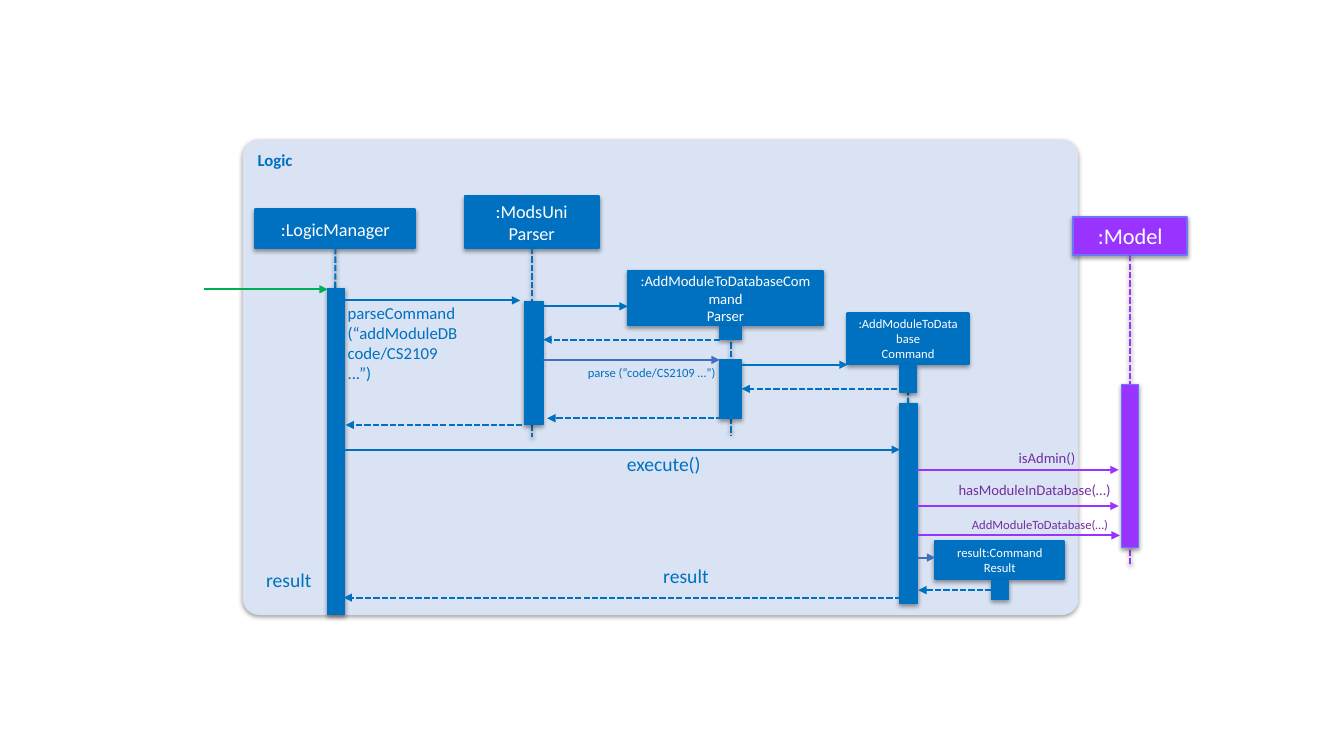
from dataclasses import dataclass
from typing import Optional

from lxml.etree import SubElement
from pptx import Presentation
from pptx.dml.color import RGBColor
from pptx.enum.dml import MSO_LINE_DASH_STYLE as Dash
from pptx.enum.shapes import MSO_CONNECTOR_TYPE as ConnectorType, MSO_SHAPE as ShapeType
from pptx.enum.text import MSO_ANCHOR as Anchor, PP_ALIGN as Align
from pptx.oxml.ns import qn
from pptx.util import Cm, Pt

COLORS = {
    "panel": "DAE3F3",
    "logic": "0070C0",
    "model": "9933FF",
    "model_edge": "6F75F7",
    "model_text": "7030A0",
    "caller": "00B050",
    "indigo": "3F6EC2",
    "white": "FFFFFF",
    "shadow": "000000",
}
BOTTOM, LEFT = 2, 1
BLANK_LAYOUT = 6


@dataclass
class Participant:
    name: str
    left: float
    top: float
    width: float
    height: float
    size: float
    lifeline_end: Optional[float] = None
    lifeline_shift: float = 0
    fill: str = "logic"
    edge: str = "logic"


@dataclass
class Activation:
    left: float
    top: float
    width: float
    height: float
    fill: str = "logic"
    edge: str = "logic"


@dataclass
class Message:
    start: float
    end: float
    y: float
    color: str = "logic"
    is_return: bool = False


@dataclass
class Label:
    text: str
    left: float
    top: float
    width: float
    height: float
    size: float
    color: str = "logic"
    align: Align = Align.RIGHT


PARTICIPANTS = [
    Participant(":LogicManager", 6.43, 5.28, 4.04, 0.97, 13, 13.51),
    Participant(":ModsUni\vParser", 11.71, 4.95, 3.38, 1.3, 13, 11.02),
    Participant(":AddModuleToDatabaseCommand\nParser", 15.82, 6.83, 4.93, 1.37, 10.5, 10.97, 0.13),
    Participant(":AddModuleToDatabase\nCommand", 21.36, 7.9, 3.05, 1.27, 9, 14.55),
    Participant(":Model", 27.05, 5.46, 2.87, 0.97, 16, 14.27, fill="model", edge="model_edge"),
    Participant("result:Command Result", 23.57, 13.64, 3.25, 0.94, 9),
]
RESULT_ACTIVATION = Activation(24.99, 14.63, 0.43, 0.48)
ACTIVATIONS = [
    Activation(8.26, 7.26, 0.43, 8.23),
    Activation(13.21, 7.59, 0.48, 3.12),
    Activation(18.14, 8.23, 0.56, 0.33),
    Activation(18.14, 9.07, 0.56, 1.47),
    Activation(22.68, 9.19, 0.43, 0.69),
    Activation(22.66, 10.16, 0.46, 5.05),
    Activation(28.27, 9.68, 0.43, 4.11, "model", "model_edge"),
]
MESSAGES = [
    Message(5.13, 8.26, 7.29, "caller"),
    Message(8.66, 13.11, 7.57),
    Message(13.56, 15.82, 7.72),
    Message(18.14, 13.69, 8.56, is_return=True),
    Message(13.69, 18.14, 9.07, "indigo"),
    Message(18.54, 21.36, 9.19),
    Message(22.83, 18.69, 9.8, is_return=True),
    Message(18.42, 13.79, 10.54, is_return=True),
    Message(13.16, 8.71, 10.71, is_return=True),
    Message(8.66, 22.68, 11.33),
    Message(23.11, 28.19, 11.84, "model"),
    Message(23.11, 28.19, 12.75, "model"),
    Message(23.14, 28.22, 13.49, "model"),
    Message(23.14, 23.57, 14.05, "indigo"),
    Message(22.71, 8.66, 15.06, is_return=True),
]
RESULT_RETURN = Message(24.99, 23.14, 14.87, is_return=True)
LABELS = [
    Label("parseCommand\n(“addModuleDB\vcode/CS2109\v...”)", 8.76, 7.62, 3.96, 2.03, 12, align=Align.LEFT),
    Label("parse (“code/CS2109 …”)", 13.41, 9.19, 4.62, 0.38, 9),
    Label("execute()", 15.27, 11.38, 2.39, 0.58, 14),
    Label("isAdmin()", 22.3, 11.3, 4.8, 0.43, 10.5, "model_text"),
    Label("hasModuleInDatabase(…)", 23.19, 12.12, 4.8, 0.43, 10.5, "model_text"),
    Label("AddModuleToDatabase(…)", 23.37, 13.03, 4.55, 0.38, 9, "model_text"),
    Label("result", 16.13, 14.2, 1.73, 0.58, 14),
    Label("result", 5.74, 14.3, 2.11, 0.58, 14),
]


def rgb(name: str) -> RGBColor:
    return RGBColor.from_string(COLORS[name])


def add_shadow(effects) -> None:
    shadow = SubElement(effects, qn("a:outerShdw"), blurRad=str(Pt(3.1)), dist=str(Pt(1.6)),
                        dir="5400000", rotWithShape="0")
    color = SubElement(shadow, qn("a:srgbClr"), val=COLORS["shadow"])
    SubElement(color, qn("a:alpha"), val="38000")


def write_text(shape, text: str, *, size: float, color: str, align=Align.LEFT,
               anchor=Anchor.TOP, bold=False, margin_x=0.0, margin_y=0.0) -> None:
    frame = shape.text_frame
    frame.word_wrap = True
    frame.vertical_anchor = anchor
    frame.margin_left = frame.margin_right = Cm(margin_x)
    frame.margin_top = frame.margin_bottom = Cm(margin_y)
    frame.text = text
    for paragraph in frame.paragraphs:
        paragraph.alignment = align
        font = paragraph.font
        font.name, font.size, font.bold = "Calibri", Pt(size), bold
        font.color.rgb = rgb(color)


def add_box(slide, kind, left: float, top: float, width: float, height: float,
            fill: str, edge: Optional[str] = None, edge_width=0.75):
    shape = slide.shapes.add_shape(kind, Cm(left), Cm(top), Cm(width), Cm(height))
    shape.fill.solid()
    shape.fill.fore_color.rgb = rgb(fill)
    if edge:
        shape.line.color.rgb = rgb(edge)
        shape.line.width = Pt(edge_width)
    else:
        shape.line.fill.background()
    shape.shadow.inherit = False
    add_shadow(shape.element.spPr.find(qn("a:effectLst")))
    return shape


def add_line(slide, x1: float, y1: float, x2: float, y2: float, color: str,
             dashed=False, arrow=False, shadow=False):
    connector = slide.shapes.add_connector(ConnectorType.STRAIGHT, Cm(x1), Cm(y1), Cm(x2), Cm(y2))
    connector.line.color.rgb = rgb(color)
    connector.line.width = Pt(1.5)
    if dashed:
        connector.line.dash_style = Dash.SQUARE_DOT
    properties = connector.element.spPr
    if arrow:
        SubElement(properties.find(qn("a:ln")), qn("a:tailEnd"), type="triangle")
    effects = SubElement(properties, qn("a:effectLst"))
    if shadow:
        add_shadow(effects)
    return connector


def add_participant(slide, item: Participant) -> None:
    header = add_box(slide, ShapeType.RECTANGLE, item.left, item.top, item.width, item.height,
                     item.fill, item.edge, 1.5)
    write_text(header, item.name, size=item.size, color="white", align=Align.CENTER,
               anchor=Anchor.MIDDLE, margin_x=0.27, margin_y=0.13)
    if item.lifeline_end:
        x = item.left + item.width / 2 + item.lifeline_shift
        lifeline = add_line(slide, x, item.top + item.height, x, item.lifeline_end, item.fill,
                            dashed=True, shadow=True)
        if not item.lifeline_shift:
            lifeline.begin_connect(header, BOTTOM)


def add_activation(slide, item: Activation):
    return add_box(slide, ShapeType.RECTANGLE, item.left, item.top, item.width, item.height,
                   item.fill, item.edge)


def add_message(slide, item: Message):
    return add_line(slide, item.start, item.y, item.end, item.y, item.color,
                    dashed=item.is_return, arrow=True)


def add_label(slide, item: Label) -> None:
    box = slide.shapes.add_textbox(Cm(item.left), Cm(item.top), Cm(item.width), Cm(item.height))
    write_text(box, item.text, size=item.size, color=item.color, align=item.align)


def main() -> None:
    presentation = Presentation()
    presentation.slide_width, presentation.slide_height = Cm(33.87), Cm(19.05)
    slide = presentation.slides.add_slide(presentation.slide_layouts[BLANK_LAYOUT])

    panel = add_box(slide, ShapeType.ROUNDED_RECTANGLE, 6.12, 3.51, 21.06, 11.99, "panel")
    panel.adjustments[0] = 0.035
    write_text(panel, "Logic", size=12, color="logic", bold=True, margin_x=0.25, margin_y=0.13)

    for participant in PARTICIPANTS:
        add_participant(slide, participant)
    for activation in ACTIVATIONS:
        add_activation(slide, activation)
    for message in MESSAGES:
        add_message(slide, message)
    result_bar = add_activation(slide, RESULT_ACTIVATION)
    add_message(slide, RESULT_RETURN).begin_connect(result_bar, LEFT)
    for label in LABELS:
        add_label(slide, label)

    presentation.save("out.pptx")


if __name__ == "__main__":
    main()
